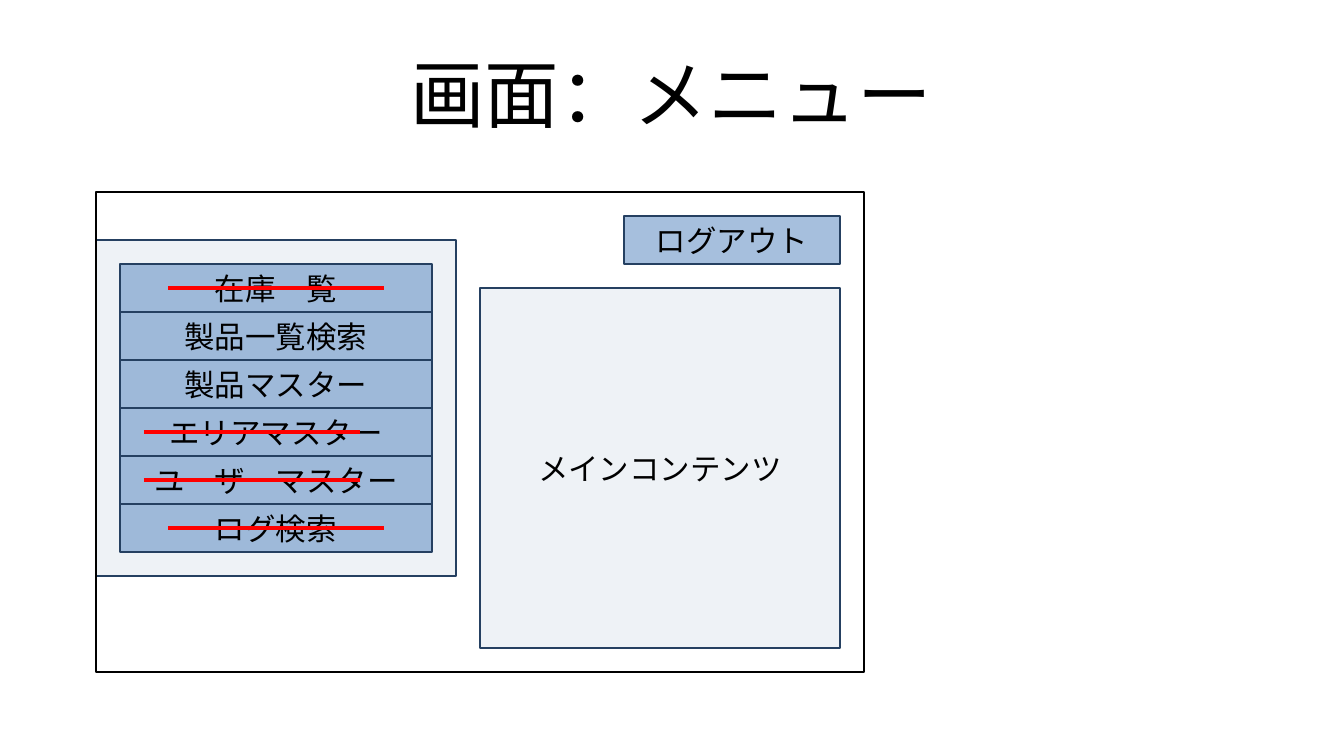
from dataclasses import dataclass
from typing import Optional

from lxml.etree import SubElement
from pptx import Presentation
from pptx.dml.color import RGBColor
from pptx.enum.shapes import MSO_CONNECTOR, MSO_SHAPE
from pptx.enum.text import MSO_ANCHOR as Anchor, PP_ALIGN as Align
from pptx.oxml.ns import qn
from pptx.util import Emu, Pt

EMU_PER_PX = 7500
BLACK = RGBColor(0x00, 0x00, 0x00)
NAVY = RGBColor(0x25, 0x40, 0x61)
BLUE = RGBColor(0x4F, 0x81, 0xBD)
PALE = RGBColor(0xDE, 0xE6, 0xEF)
RED = RGBColor(0xFF, 0x00, 0x00)

MENU_LEFT, MENU_TOP, MENU_WIDTH, ROW_HEIGHT = 120, 264, 312, 48
STRIKE_LENGTH = 216


@dataclass(frozen=True)
class Panel:
    """A bordered rectangle, measured in px."""
    left: int
    top: int
    width: int
    height: int
    fill: Optional[RGBColor] = None
    line: RGBColor = NAVY
    text: str = ""


@dataclass(frozen=True)
class MenuItem:
    """A menu row, with the left end of its strike line if it has one."""
    text: str
    strike_left: Optional[int] = None


SIDEBAR = Panel(96, 240, 360, 336, PALE)
SCREEN = Panel(96, 192, 768, 480, line=BLACK)
LOGOUT = Panel(624, 216, 216, ROW_HEIGHT, BLUE, text="ログアウト")
CONTENT = Panel(480, 288, 360, 360, PALE, text="メインコンテンツ")
MENU = [
    MenuItem("在庫一覧", 168),
    MenuItem("製品一覧検索"),
    MenuItem("製品マスター"),
    MenuItem("エリアマスター", 144),
    MenuItem("ユーザーマスター", 144),
    MenuItem("ログ検索", 168),
]


def px(length: int) -> Emu:
    """Turn px into EMU."""
    return Emu(length * EMU_PER_PX)


def write(box, text: str, size: int = 18, margin_x: int = 12, margin_y: int = 6) -> None:
    """Put centred black text in a box."""
    frame = box.text_frame
    frame.word_wrap = True
    frame.vertical_anchor = Anchor.MIDDLE
    frame.margin_left = frame.margin_right = px(margin_x)
    frame.margin_top = frame.margin_bottom = px(margin_y)
    para = frame.paragraphs[0]
    para.alignment = Align.CENTER
    span = para.add_run()
    span.text = text
    span.font.size = Pt(size)
    span.font.name = "Arial"
    span.font.color.rgb = BLACK


def draw_panel(page, panel: Panel) -> None:
    """Draw a hairline rectangle, half transparent when filled."""
    box = page.shapes.add_shape(MSO_SHAPE.RECTANGLE, px(panel.left), px(panel.top),
                                px(panel.width), px(panel.height))
    box.shadow.inherit = False
    box.line.color.rgb = panel.line
    box.line.width = Pt(0)
    if panel.fill is None:
        box.fill.background()
    else:
        box.fill.solid()
        box.fill.fore_color.rgb = panel.fill
        color = box.fill._xPr.find(qn("a:solidFill")).find(qn("a:srgbClr"))
        SubElement(color, qn("a:alpha"), val="50000")
    if panel.text:
        write(box, panel.text)


def draw_strike(page, left: int, middle: int) -> None:
    """Draw a red hairline across a menu row."""
    strike = page.shapes.add_connector(MSO_CONNECTOR.STRAIGHT, px(left), px(middle),
                                       px(left + STRIKE_LENGTH), px(middle))
    strike.line.color.rgb = RED
    strike.line.width = Pt(0)
    SubElement(strike._element.spPr, qn("a:effectLst"))


def main() -> None:
    """Build the menu screen slide."""
    deck = Presentation()
    deck.slide_width, deck.slide_height = px(1344), px(756)
    page = deck.slides.add_slide(deck.slide_layouts[6])

    draw_panel(page, SIDEBAR)
    title = page.shapes.add_textbox(px(67), px(30), px(1209), px(126))
    write(title, "画面：メニュー", size=44, margin_x=0, margin_y=0)
    draw_panel(page, SCREEN)

    tops = [MENU_TOP + row * ROW_HEIGHT for row in range(len(MENU))]
    for item, top in zip(MENU, tops):
        draw_panel(page, Panel(MENU_LEFT, top, MENU_WIDTH, ROW_HEIGHT, BLUE, text=item.text))
    draw_panel(page, LOGOUT)
    draw_panel(page, CONTENT)
    for item, top in zip(MENU, tops):
        if item.strike_left is not None:
            draw_strike(page, item.strike_left, top + ROW_HEIGHT // 2)

    deck.save("out.pptx")


if __name__ == "__main__":
    main()
